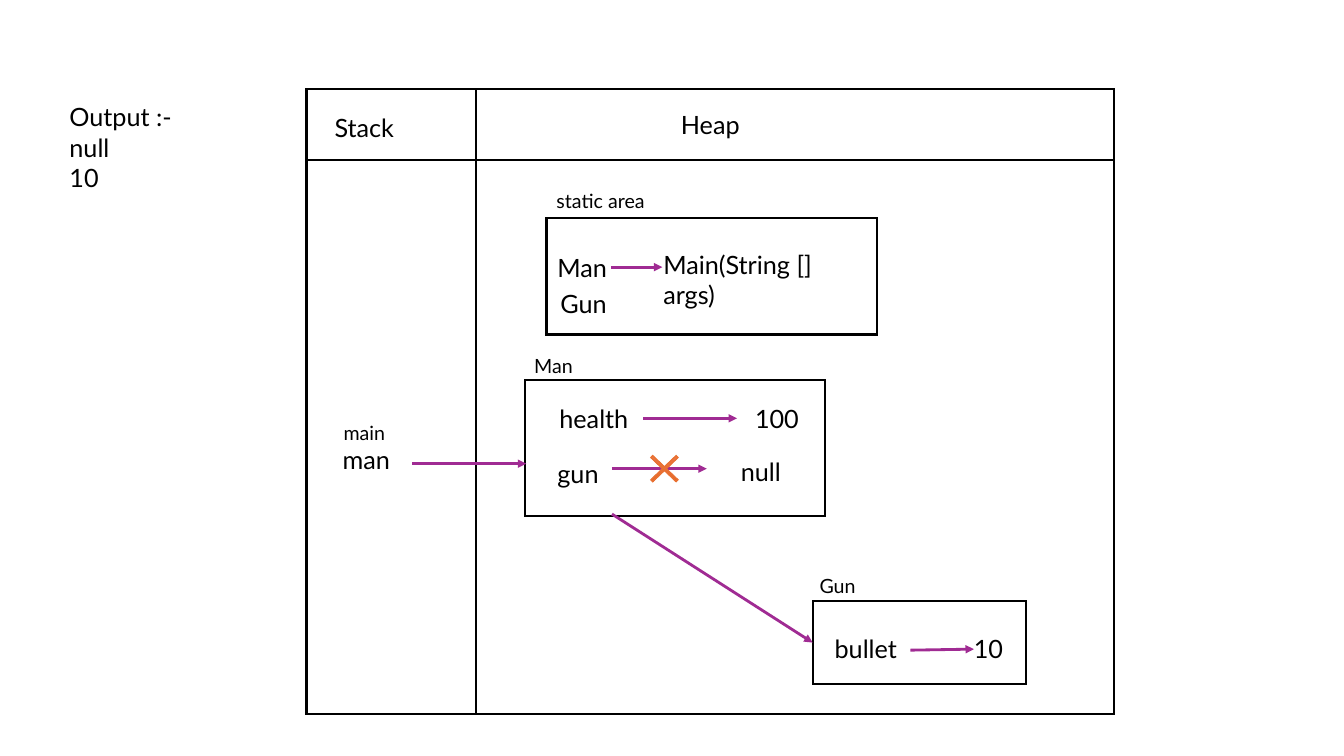
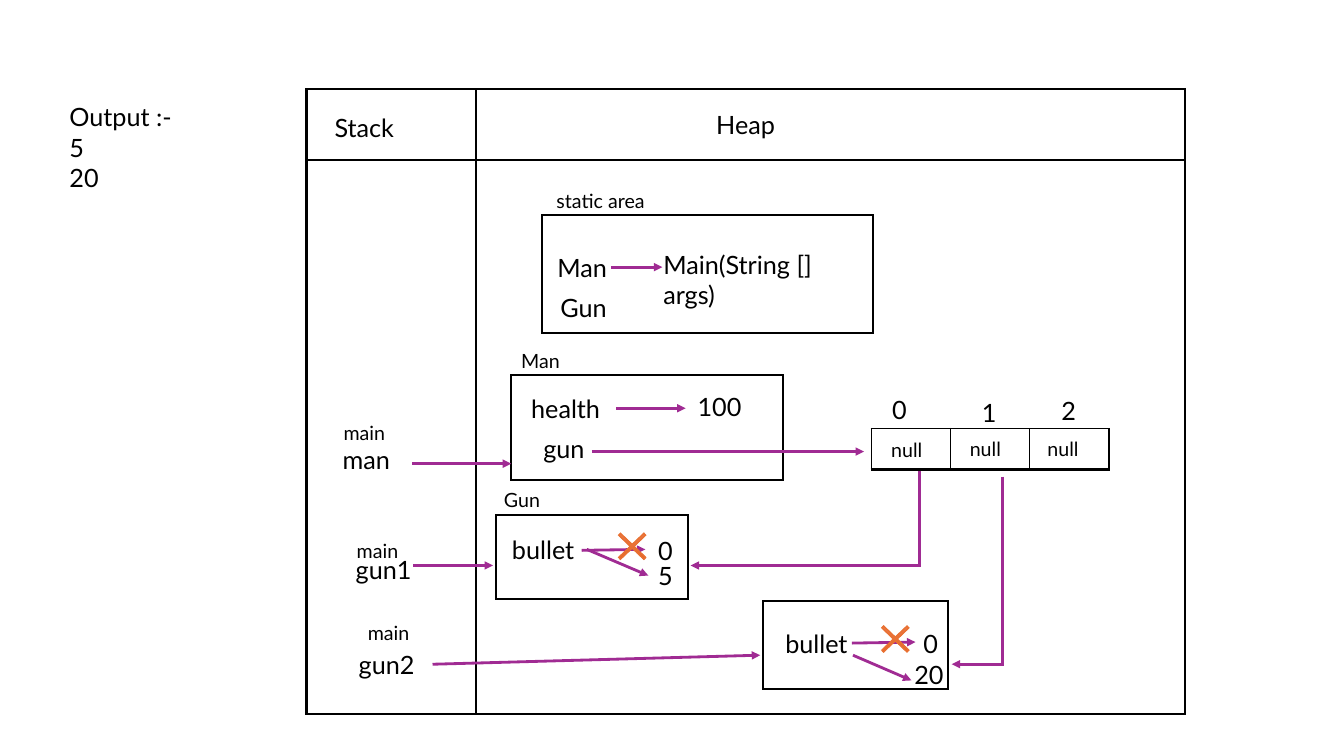
from dataclasses import dataclass

import pptx
import pptx.util
import pptx.dml.color
import pptx.enum.shapes
import pptx.enum.text
import pptx.oxml
import pptx.oxml.ns
from lxml import etree

Inches = pptx.util.Inches
Pt = pptx.util.Pt
SHAPE = pptx.enum.shapes.MSO_SHAPE
CONNECTOR = pptx.enum.shapes.MSO_CONNECTOR
ANCHOR = pptx.enum.text.MSO_ANCHOR
ALIGN = pptx.enum.text.PP_ALIGN


def rgb(value):
    return pptx.dml.color.RGBColor.from_string(value)


@dataclass(frozen=True)
class Theme:
    font: str = "Lato"
    ink: str = "000000"
    paper: str = "FFFFFF"
    arrow: str = "A02B93"
    cross_top: str = "ED8257"
    cross_bottom: str = "E25F1A"
    cross_line: str = "E97132"
    body: int = 18
    small: int = 14
    outline: float = 1.5
    arrow_width: float = 2


@dataclass(frozen=True)
class Box:
    left: float
    top: float
    width: float = 0
    height: float = 0


THEME = Theme()


# Basic parts
def style(paragraph, size):
    paragraph.font.name = THEME.font
    paragraph.font.size = Pt(size)
    paragraph.font.color.rgb = rgb(THEME.ink)


def style_line(line, color, width):
    """Solid line with square corners."""
    line.color.rgb = rgb(color)
    line.width = Pt(width)
    etree.SubElement(line._get_or_add_ln(), pptx.oxml.ns.qn("a:miter"), lim="800000")


def add_label(slide, text, left, top, width=0.93, size=THEME.body):
    label = slide.shapes.add_textbox(
        Inches(left), Inches(top), Inches(width), Inches(0.4 if size == THEME.body else 0.34))
    frame = label.text_frame
    frame.word_wrap = True
    frame.auto_size = pptx.enum.text.MSO_AUTO_SIZE.SHAPE_TO_FIT_TEXT
    frame.text = text
    for paragraph in frame.paragraphs:
        style(paragraph, size)


def add_panel(slide, box):
    panel = slide.shapes.add_shape(
        SHAPE.RECTANGLE, Inches(box.left), Inches(box.top), Inches(box.width), Inches(box.height))
    panel.shadow.inherit = False
    panel.fill.solid()
    panel.fill.fore_color.rgb = rgb(THEME.paper)
    style_line(panel.line, THEME.ink, THEME.outline)
    return panel


def add_line(slide, start, end, color, width, kind=CONNECTOR.STRAIGHT):
    line = slide.shapes.add_connector(kind, *(Inches(v) for v in (*start, *end)))
    style_line(line.line, color, width)
    etree.SubElement(line._element.spPr, pptx.oxml.ns.qn("a:effectLst"))
    return line


def add_arrow(slide, start, end, kind=CONNECTOR.STRAIGHT):
    arrow = add_line(slide, start, end, THEME.arrow, THEME.arrow_width, kind)
    etree.SubElement(arrow.line._get_or_add_ln(), pptx.oxml.ns.qn("a:tailEnd"), type="triangle")
    return arrow


def add_down_then_left(slide, start, end):
    """Elbow arrow that drops from its start before turning."""
    arrow = add_arrow(slide, start, end, CONNECTOR.ELBOW)
    adjustments = arrow._element.spPr.prstGeom.get_or_add_avLst()
    etree.SubElement(adjustments, pptx.oxml.ns.qn("a:gd"), name="adj1", fmla="val 0")


def add_cross(slide, left, top):
    cross = slide.shapes.add_shape(
        SHAPE.MATH_MULTIPLY, Inches(left), Inches(top), Inches(0.48), Inches(0.46))
    cross.adjustments[0] = 0.055
    cross.shadow.inherit = False
    cross.fill.gradient()
    cross.fill.gradient_angle = 270
    for stop, color in zip(cross.fill.gradient_stops, (THEME.cross_top, THEME.cross_bottom)):
        stop.color.rgb = rgb(color)
    style_line(cross.line, THEME.cross_line, 1)


# Stack and heap frame
def memory_frame(slide, box, header_height=0.71, stack_width=1.68):
    divider = box.left + stack_width
    header_bottom = box.top + header_height
    add_panel(slide, box)
    header = add_panel(slide, Box(box.left, box.top, box.width, header_height))
    header.text_frame.text = "Heap"
    header.text_frame.vertical_anchor = ANCHOR.MIDDLE
    heap_title = header.text_frame.paragraphs[0]
    heap_title.alignment = ALIGN.CENTER
    style(heap_title, THEME.body)
    for start, end in ((box.top, box.top + box.height), (header_bottom, box.top)):
        add_line(slide, (divider, start), (divider, end), THEME.ink, THEME.outline)
    add_label(slide, "Stack", box.left + 0.18, box.top + 0.19, 0.82)


# Heap object: all offsets are measured from the box's corner
def heap_object(slide, box, fields, arrows, title=None, crosses=()):
    panel = add_panel(slide, box)
    if title:
        text, dx, dy, width = title
        add_label(slide, text, box.left + dx, box.top + dy, width, THEME.small)
    for text, dx, dy, *width in fields:
        add_label(slide, text, box.left + dx, box.top + dy, *width)
    for x1, y1, x2, y2 in arrows:
        add_arrow(slide, (box.left + x1, box.top + y1), (box.left + x2, box.top + y2))
    for dx, dy in crosses:
        add_cross(slide, box.left + dx, box.top + dy)
    return panel


def static_area(slide, box, dx=0, dy=0, gun_top=0.65):
    heap_object(
        slide, box,
        title=("static area", dx, dy - 0.33, 1.51),
        fields=[("Man", dx + 0.01, dy + 0.29, 0.83),
                ("Main(String [] args)", dx + 1.06, dy + 0.26, 2.22),
                ("Gun", dx + 0.04, dy + gun_top, 0.83)],
        arrows=[(dx + 0.64, dy + 0.49, dx + 1.15, dy + 0.49)])


# Stack variable with its method above and its reference arrow
def stack_variable(slide, name, box, method, arrow):
    add_label(slide, "main", box.left + method[0], box.top + method[1], 0.66, THEME.small)
    add_label(slide, name, box.left, box.top, 0.83)
    x1, y1, x2, y2 = arrow
    add_arrow(slide, (box.left + x1, box.top + y1), (box.left + x2, box.top + y2))


# Array: bordered cells, index numbers above them and values laid over them
def set_borders(cell):
    properties = cell._tc.get_or_add_tcPr()
    for position, (side, width) in enumerate((("L", 1), ("R", 1), ("T", 1), ("B", 2))):
        border = pptx.oxml.parse_xml(
            f'<a:ln{side} {pptx.oxml.ns.nsdecls("a")} w="{Pt(width)}"><a:solidFill>'
            f'<a:srgbClr val="{THEME.ink}"/></a:solidFill></a:ln{side}>')
        properties.insert(position, border)


def reference_array(slide, box, indices, values):
    table = slide.shapes.add_table(
        1, len(values), Inches(box.left), Inches(box.top),
        Inches(box.width), Inches(box.height)).table
    table.first_row = table.horz_banding = False
    for cell in table.iter_cells():
        cell.fill.background()
        set_borders(cell)
    for text, dx, dy in indices:
        add_label(slide, text, box.left + dx, box.top + dy, 0.46)
    for text, dx, dy in values:
        add_label(slide, text, box.left + dx, box.top + dy, 0.57, THEME.small)


# Parts found on both slides
def start_slide(deck, frame_width, output):
    slide = deck.slides.add_slide(deck.slide_layouts[6])
    memory_frame(slide, Box(3.04, 0.88, frame_width, 6.2))
    add_label(slide, "\n".join(["Output :-", *output]), 0.59, 0.96, 2.12)
    return slide


def single_gun_slide(deck):
    slide = start_slide(deck, 8.01, ["null", "10"])
    static_area(slide, Box(5.42, 2.16, 3.28, 1.16))
    heap_object(
        slide, Box(5.21, 3.77, 2.97, 1.35), title=("Man", -0.01, -0.31, 0.83),
        fields=[("health", 0.24, 0.18), ("100", 2.18, 0.18),
                ("gun", 0.22, 0.73, 0.7), ("null", 2.04, 0.71)],
        arrows=[(1.17, 0.38, 2.1, 0.38), (0.86, 0.88, 1.8, 0.88)],
        crosses=[(1.14, 0.65)])
    gun = heap_object(
        slide, Box(8.06, 5.96, 2.12, 0.83), title=("Gun", -0.03, -0.32, 0.83),
        fields=[("bullet", 0.12, 0.27, 0.83), ("10", 1.5, 0.27, 0.59)],
        arrows=[(0.97, 0.49, 1.6, 0.48)])
    add_arrow(slide, (6.07, 5.1), (8.06, 6.37)).end_connect(gun, 1)
    stack_variable(slide, "man", Box(3.3, 4.36), (0.01, -0.23), (0.79, 0.24, 1.92, 0.24))


def gun_array_slide(deck):
    slide = start_slide(deck, 8.71, ["5", "20"])
    static_area(slide, Box(5.38, 2.13, 3.28, 1.17), 0.04, 0.03, 0.69)
    heap_object(
        slide, Box(5.07, 3.72, 2.7, 1.04), title=("Man", 0, -0.31, 0.83),
        fields=[("health", 0.1, 0.13), ("100", 1.75, 0.11), ("gun", 0.22, 0.53, 0.7)],
        arrows=[(1.04, 0.33, 1.73, 0.33), (0.8, 0.76, 3.5, 0.76)])
    reference_array(
        slide, Box(8.64, 4.25, 2.36, 0.41),
        indices=[("0", 0.11, -0.39), ("1", 1, -0.36), ("2", 1.79, -0.38)],
        values=[("null", 0.1, 0.05), ("null", 0.88, 0.04), ("null", 1.65, 0.04)])
    heap_object(
        slide, Box(4.92, 5.11, 1.9, 0.83), title=("Gun", -0.02, -0.32, 0.65),
        fields=[("bullet", 0.06, 0.14, 0.83), ("0", 1.51, 0.15, 0.59), ("5", 1.51, 0.4, 0.59)],
        arrows=[(0.85, 0.35, 1.48, 0.34), (0.9, 0.34, 1.51, 0.6)],
        crosses=[(1.11, 0.08)])
    heap_object(
        slide, Box(7.57, 5.96, 1.83, 0.88),
        fields=[("bullet", 0.12, 0.22, 0.83), ("0", 1.49, 0.22, 0.59), ("20", 1.4, 0.53, 0.59)],
        arrows=[(0.88, 0.42, 1.51, 0.41), (0.89, 0.54, 1.47, 0.79)],
        crosses=[(1.07, 0.15)])
    stack_variable(slide, "man", Box(3.3, 4.36), (0.01, -0.23), (0.79, 0.24, 1.77, 0.24))
    stack_variable(slide, "gun1", Box(3.43, 5.45), (0.01, -0.15), (0.67, 0.16, 1.46, 0.16))
    stack_variable(slide, "gun2", Box(3.46, 6.39), (0.09, -0.28), (0.83, 0.2, 4.08, 0.11))
    add_down_then_left(slide, (9.12, 4.67), (6.85, 5.61))
    add_down_then_left(slide, (9.94, 4.73), (9.44, 6.59))


def main():
    deck = pptx.Presentation()
    deck.slide_width = Inches(13.33)
    deck.slide_height = Inches(7.5)
    single_gun_slide(deck)
    gun_array_slide(deck)
    deck.save("out.pptx")


if __name__ == "__main__":
    main()
